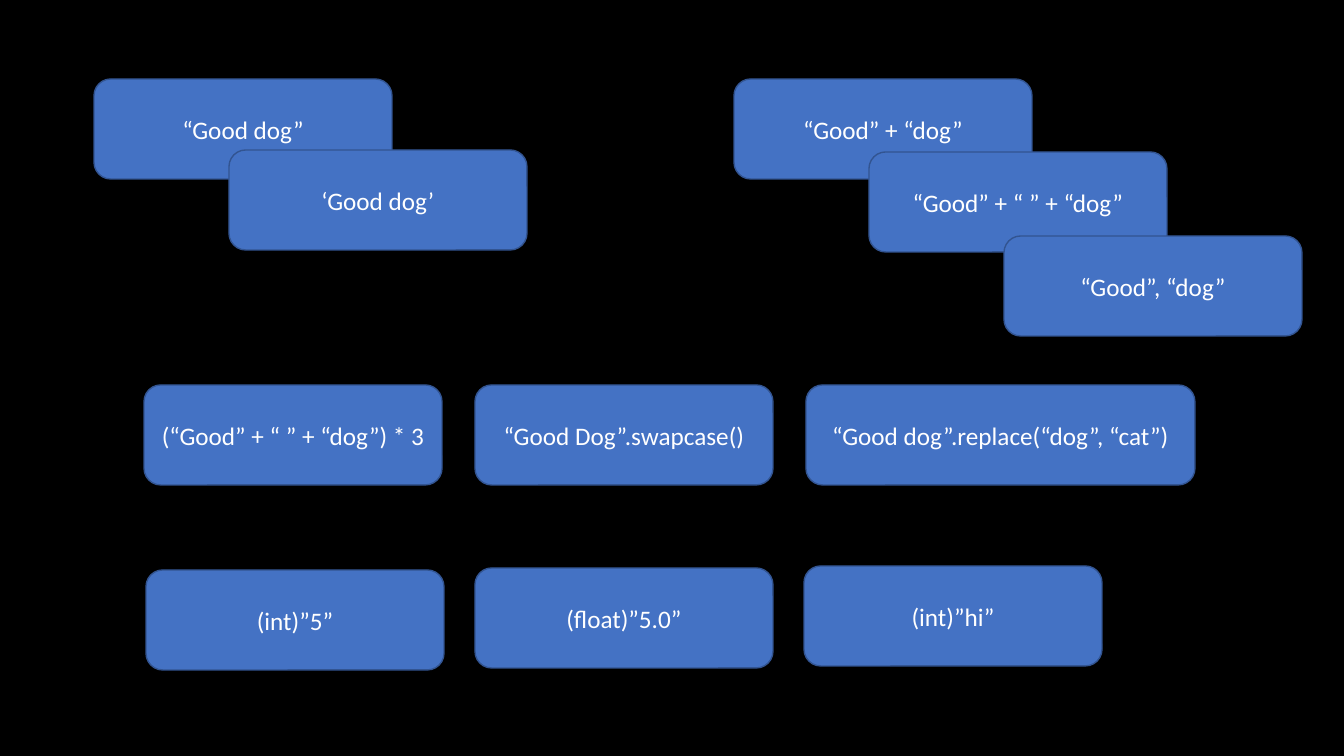
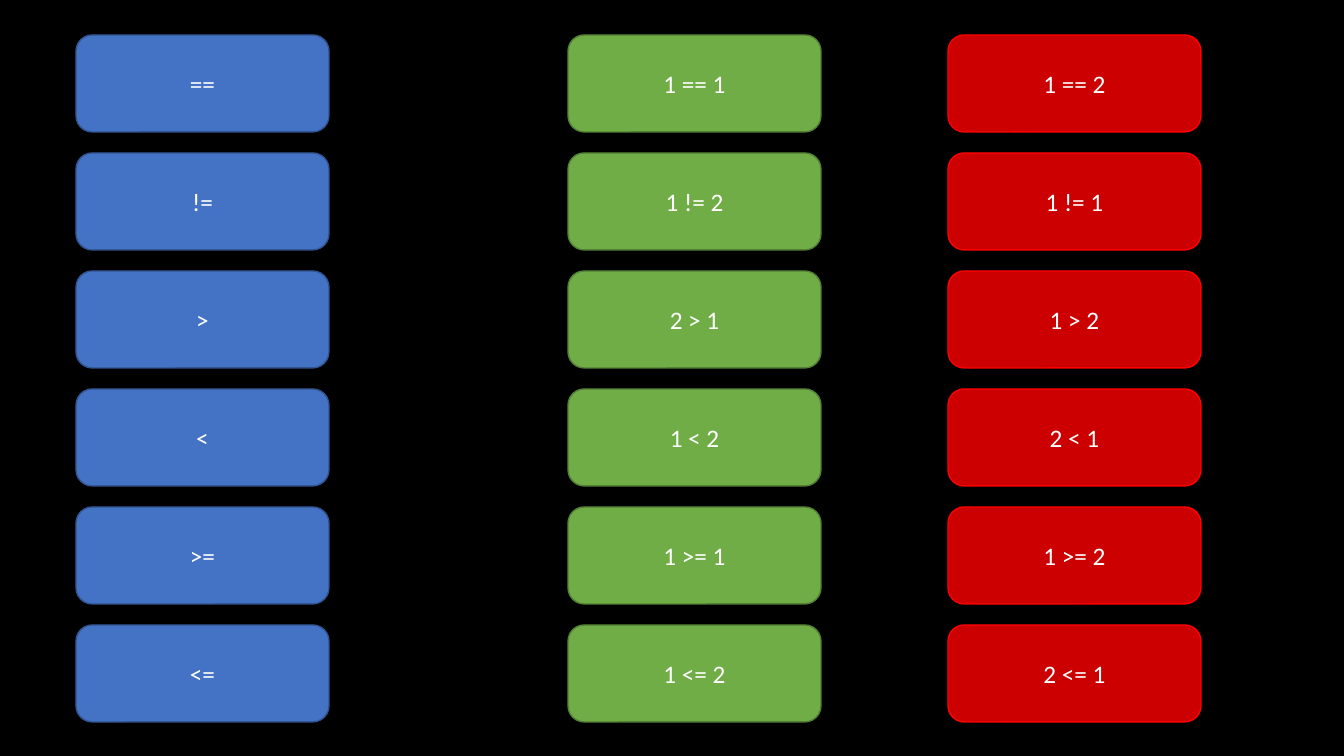
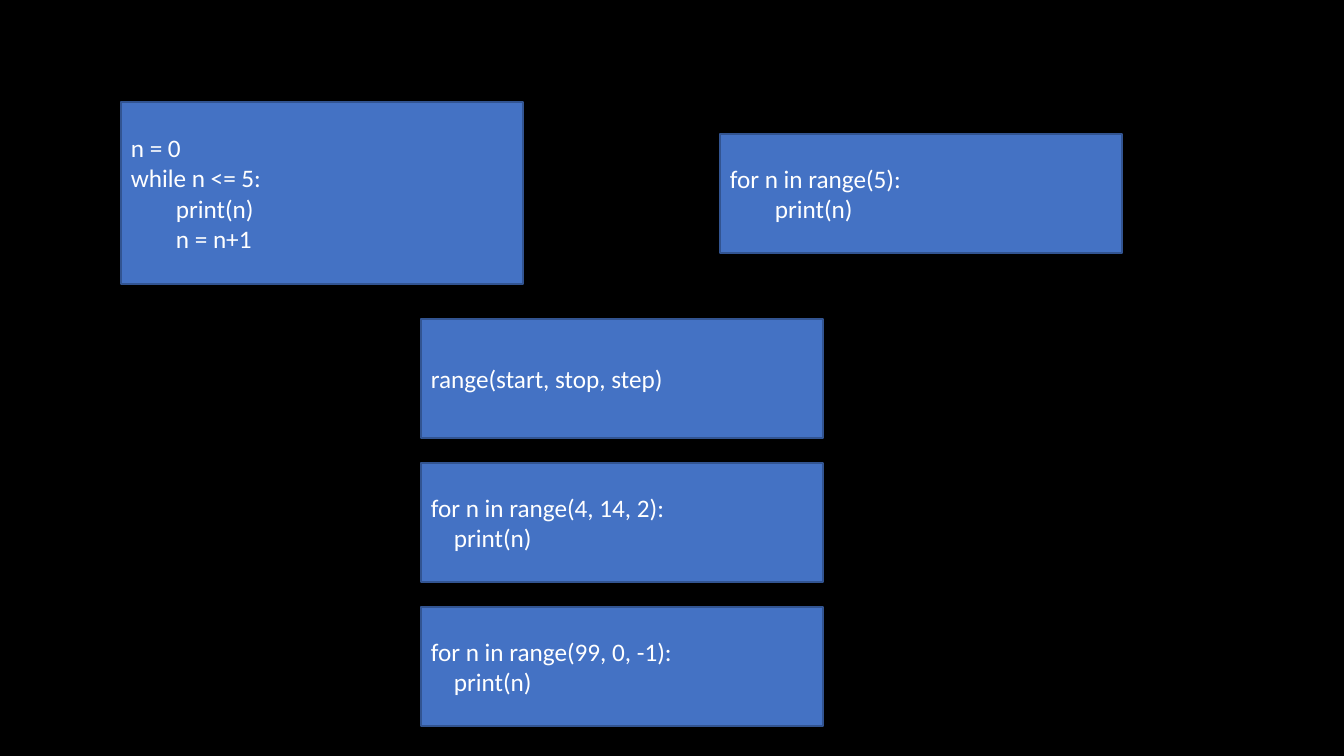
"""Build three slides on Python strings, comparisons and loops."""
from pptx import Presentation
from pptx.dml.color import RGBColor
from pptx.enum.shapes import MSO_SHAPE
from pptx.enum.text import MSO_ANCHOR, PP_ALIGN
from pptx.util import Pt

ROUNDED, SQUARE = MSO_SHAPE.ROUNDED_RECTANGLE, MSO_SHAPE.RECTANGLE
CENTER, LEFT = PP_ALIGN.CENTER, PP_ALIGN.LEFT
MIDDLE = MSO_ANCHOR.MIDDLE
EMU_PER_PX = 12192000 / 1344
FONT = "Calibri"
BLACK, WHITE = "000000", "FFFFFF"
BLUE = ("4472C4", "325491")
GREEN = ("70AD47", "538035")
RED = ("CC0000", "FF0000")


def px(length):
    """Turn px into EMU."""
    return round(length * EMU_PER_PX)


def color(hex_code):
    """Turn a hex string into a colour."""
    return RGBColor.from_string(hex_code)


def write_text(paragraph, text, size=18, ink=WHITE, align=CENTER, indent=0):
    """Write one formatted line into a paragraph."""
    paragraph.alignment = align
    if indent:
        paragraph._p.get_or_add_pPr().set("marL", str(px(indent)))
    run = paragraph.add_run()
    run.text = text
    run.font.name = FONT
    run.font.size = Pt(size)
    run.font.color.rgb = color(ink)


def add_box(slide, outline, left, top, width, height, palette=BLUE):
    """Add a filled box and return its text frame."""
    box = slide.shapes.add_shape(outline, px(left), px(top), px(width), px(height))
    box.shadow.inherit = False
    fill, border = palette
    box.fill.solid()
    box.fill.fore_color.rgb = color(fill)
    box.line.color.rgb = color(border)
    box.line.width = Pt(1)
    frame = box.text_frame
    frame.word_wrap = True
    frame.vertical_anchor = MIDDLE
    return frame


def add_card(slide, text, left, top, width=298, height=100, palette=BLUE):
    """Add a rounded card with one centred expression."""
    frame = add_box(slide, ROUNDED, left, top, width, height, palette)
    write_text(frame.paragraphs[0], text)


def add_code(slide, lines, left, top, height=119, indent=0):
    """Add a code block; lines that start with a tab are indented."""
    frame = add_box(slide, SQUARE, left, top, 402, height)
    for number, line in enumerate(lines):
        paragraph = frame.add_paragraph() if number else frame.paragraphs[0]
        nested = line.startswith("\t")
        write_text(paragraph, line.strip(), align=LEFT, indent=indent if nested else 0)


def add_cards(slide, expressions, left, step, tops):
    """Add cards at an equal horizontal step."""
    for number, (expression, top) in enumerate(zip(expressions, tops)):
        add_card(slide, expression, left + number * step, top)


def build_strings(slide):
    """Show string literals, methods and casts."""
    add_cards(slide, ["“Good dog”", "‘Good dog’"], 94, 135, [79, 150])
    joins = ["“Good” + “dog”", "“Good” + “ ” + “dog”", "“Good”, “dog”"]
    add_cards(slide, joins, 734, 135, [79, 152, 236])
    methods = ["(“Good” + “ ” + “dog”) * 3", "“Good Dog”.swapcase()"]
    add_cards(slide, methods, 144, 331, [385, 385])
    add_card(slide, "“Good dog”.replace(“dog”, “cat”)", 806, 385, width=389)
    casts = ["(int)”5”", "(float)”5.0”", "(int)”hi”"]
    add_cards(slide, casts, 146, 329, [570, 568, 566])


def build_comparisons(slide):
    """Show each operator with a true and a false example."""
    columns = [
        (76, BLUE, ["==", "!=", ">", "<", ">=", "<="]),
        (568, GREEN, ["1 == 1", "1 != 2", "2 > 1", "1 < 2", "1 >= 1", "1 <= 2"]),
        (948, RED, ["1 == 2", "1 != 1", "1 > 2", "2 < 1", "1 >= 2", "2 <= 1"]),
    ]
    for left, palette, expressions in columns:
        for row, expression in enumerate(expressions):
            add_card(slide, expression, left, 35 + row * 118, 253, 97, palette)


def build_loops(slide):
    """Show while loops, for loops and range."""
    add_code(slide, ["for n in range(5):", "\tprint(n)"], 720, 134, indent=45)
    countup = ["n = 0", "while n <= 5:", "\tprint(n)", "\tn = n+1"]
    add_code(slide, countup, 121, 102, height=182, indent=45)
    ranges = [
        ["range(start, stop, step)"],
        ["for n in range(4, 14, 2):", "\tprint(n)"],
        ["for n in range(99, 0, -1):", "\tprint(n)"],
    ]
    for row, lines in enumerate(ranges):
        add_code(slide, lines, 421, 319 + row * 144, indent=23)


def main():
    """Build and save the presentation."""
    deck = Presentation()
    deck.slide_width, deck.slide_height = px(1344), px(756)
    backdrop = deck.slide_master.background.fill
    backdrop.solid()
    backdrop.fore_color.rgb = color(BLACK)
    for build in (build_strings, build_comparisons, build_loops):
        build(deck.slides.add_slide(deck.slide_layouts[6]))
    deck.save("out.pptx")


if __name__ == "__main__":
    main()
